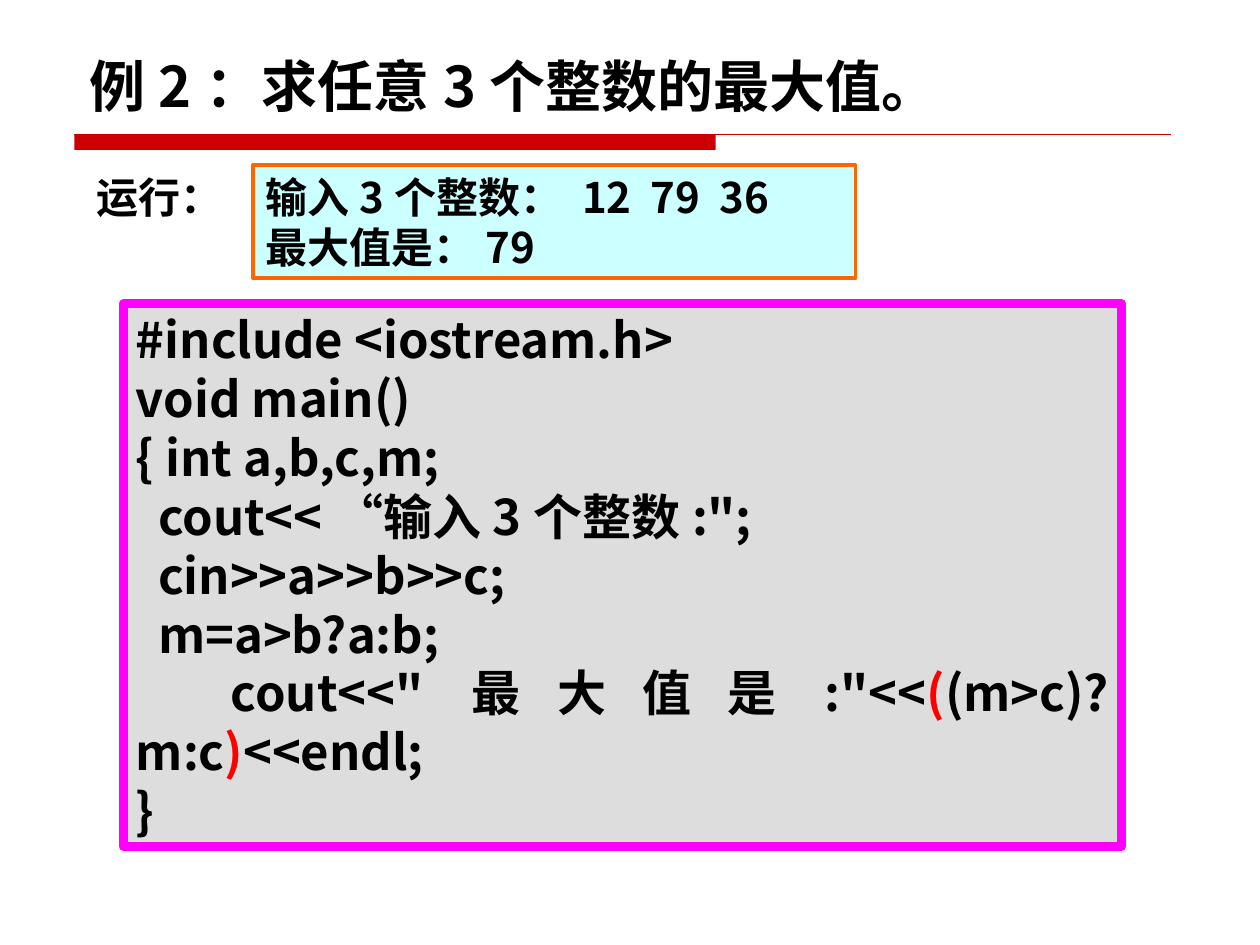
from dataclasses import dataclass
from typing import Optional

from lxml.etree import SubElement as Sub
from pptx import Presentation
from pptx.dml.color import RGBColor
from pptx.enum.shapes import MSO_CONNECTOR as Link, MSO_SHAPE as Form
from pptx.enum.text import MSO_ANCHOR as Anchor, MSO_AUTO_SIZE as Fit, PP_ALIGN as Align
from pptx.oxml.ns import qn
from pptx.util import Inches, Pt

COLS, ROWS = 100, 75
WIDE, HIGH = Inches(10), Inches(7.5)
SANS, SERIF = "Noto Sans CJK SC", "Times New Roman"
BLACK, RED, RULE = "000000", "FF0000", "CC0000"


@dataclass(frozen=True)
class Run:
    text: str
    face: str = SANS
    hue: str = BLACK


@dataclass(frozen=True)
class Line:
    runs: tuple[Run, ...]
    align: Align = Align.LEFT


@dataclass(frozen=True)
class Panel:
    col: float
    row: float
    cols: float
    rows: float
    size: int
    lines: tuple[Line, ...]
    fill: Optional[str] = None
    edge: Optional[str] = None
    width: float = 0


def tint(hue: str) -> RGBColor:
    return RGBColor.from_string(hue)


def across(cols: float) -> int:
    return round(WIDE * cols / COLS)


def down(rows: float) -> int:
    return round(HIGH * rows / ROWS)


def plain(text: str, align: Align = Align.LEFT) -> Line:
    return Line((Run(text),), align)


def write(frame, lines: tuple[Line, ...], size: int) -> None:
    for i, line in enumerate(lines):
        para = frame.paragraphs[0] if i == 0 else frame.add_paragraph()
        para.alignment = line.align
        for part in line.runs:
            run = para.add_run()
            run.text = part.text
            font = run.font
            font.size, font.bold, font.name = Pt(size), True, part.face
            font.color.rgb = tint(part.hue)
            Sub(run._r.get_or_add_rPr(), qn("a:ea"), typeface=SANS)


def draw(slide, panel: Panel) -> None:
    place = (across(panel.col), down(panel.row), across(panel.cols), down(panel.rows))
    if panel.fill:
        shape = slide.shapes.add_shape(Form.RECTANGLE, *place)
        shape.shadow.inherit = False
        shape.fill.solid()
        shape.fill.fore_color.rgb = tint(panel.fill)
        if panel.edge:
            shape.line.color.rgb = tint(panel.edge)
            shape.line.width = Pt(panel.width)
        else:
            shape.line.fill.background()
    else:
        shape = slide.shapes.add_textbox(*place)
    if panel.lines:
        frame = shape.text_frame
        frame.word_wrap = panel.fill is not None
        frame.auto_size = Fit.SHAPE_TO_FIT_TEXT
        frame.vertical_anchor = Anchor.TOP
        write(frame, panel.lines, panel.size)


def stroke(slide, col: float, row: float, end: float, hue: str, width: float) -> None:
    line = slide.shapes.add_connector(Link.STRAIGHT, across(col), down(row), across(end), down(row))
    line.line.color.rgb = tint(hue)
    line.line.width = Pt(width)
    Sub(line._element.spPr, qn("a:effectLst"))


CODE = (
    plain("#include <iostream.h>"),
    plain("void main()", Align.JUSTIFY),
    plain("{ int a,b,c,m;", Align.JUSTIFY),
    Line((Run("  cout<<"), Run("“输入", SERIF), Run("3"), Run("个整数", SERIF), Run(':";')), Align.JUSTIFY),
    plain("  cin>>a>>b>>c;", Align.JUSTIFY),
    plain("  m=a>b?a:b;", Align.JUSTIFY),
    Line((
        Run('  cout<<"'), Run("最大值是", SERIF), Run(':"<<'), Run("(", hue=RED),
        Run("(m>c)?m:c"), Run(")", hue=RED), Run("<<endl;"),
    ), Align.JUSTIFY),
    plain("}", Align.JUSTIFY),
)
OUTPUT = (plain("输入3个整数： 12  79  36"), plain("最大值是：79"))

PANELS = (
    Panel(5.9, 10.7, 50.9, 1.2, 0, (), RULE),
    Panel(4, 3.6, 69.1, 6.4, 32, (plain("例2：求任意3个整数的最大值。", Align.CENTER),)),
    Panel(9.8, 24.1, 79.2, 43.1, 28, CODE, "DDDDDD", "FF00FF", 5),
    Panel(6.7, 13.1, 12, 5, 24, (plain("运行：", Align.CENTER),)),
    Panel(20.1, 13.1, 47.8, 9, 24, OUTPUT, "CCFFFF", "FF6600", 2.25),
)


def main() -> None:
    deck = Presentation()
    deck.slide_width, deck.slide_height = WIDE, HIGH
    slide = deck.slides.add_slide(deck.slide_layouts[6])
    stroke(slide, 5.9, 10.7, 92.9, RULE, 0.75)
    for panel in PANELS:
        draw(slide, panel)
    deck.save("out.pptx")


if __name__ == "__main__":
    main()
